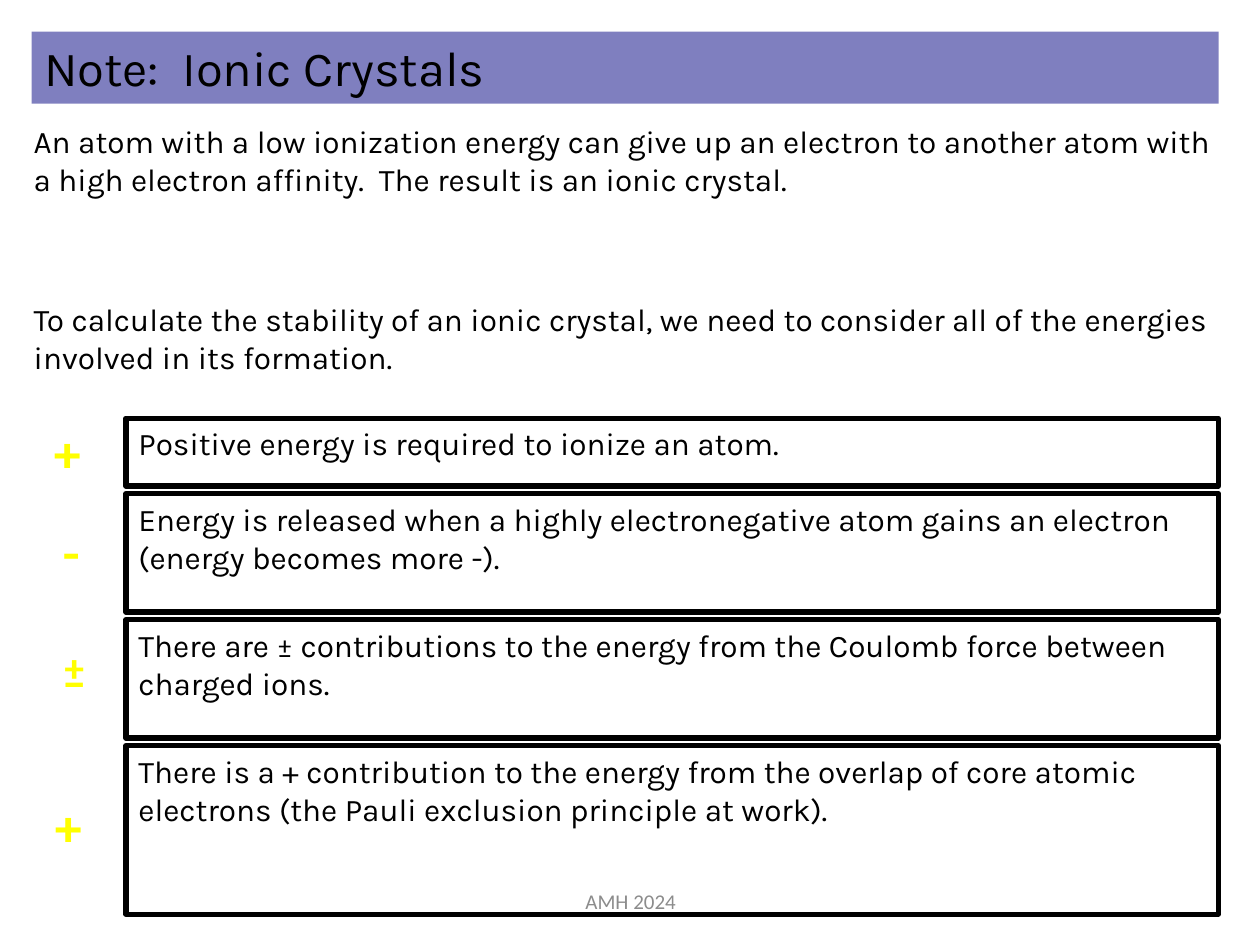
"""Build the slide on the energies of ionic crystals."""
from typing import NamedTuple, Optional

import lxml.etree
import pptx
import pptx.dml.color
import pptx.enum.shapes
import pptx.enum.text
import pptx.oxml.ns
import pptx.shapes.autoshape
import pptx.slide
import pptx.util

Cm = pptx.util.Cm
Align = pptx.enum.text.PP_ALIGN
Anchor = pptx.enum.text.MSO_ANCHOR


class Area(NamedTuple):
    left: float
    top: float
    width: float
    height: float


class Term(NamedTuple):
    text: str
    height: float
    sign: str
    place: Area


INTRO = [
    ("An atom with a low ionization energy can give up an electron to another atom "
     "with a high electron affinity.  The result is an ionic crystal.",
     Area(0.43, 2.34, 24.56, 3.3)),
    ("To calculate the stability of an ionic crystal, we need to consider all of the "
     "energies involved in its formation.",
     Area(0.43, 5.92, 24.56, 2.29)),
]
TERMS = [
    Term("Positive energy is required to ionize an atom.",
         1.37, "+", Area(0.84, 8.33, 1.32, 1.45)),
    Term("Energy is released when a highly electronegative atom gains an electron "
         "(energy becomes more -).",
         2.39, "-", Area(1.02, 10.41, 0.94, 1.45)),
    Term("There are ± contributions to the energy from the Coulomb force between "
         "charged ions.",
         2.39, "±", Area(0.99, 12.75, 1.04, 1.45)),
    Term("There is a + contribution to the energy from the overlap of core atomic "
         "electrons (the Pauli exclusion principle at work).",
         3.4, "+", Area(0.86, 15.88, 1.32, 1.45)),
]
GAP = 0.15


def color(code: str) -> pptx.dml.color.RGBColor:
    return pptx.dml.color.RGBColor.from_string(code)


def write(shape: pptx.shapes.autoshape.Shape, text: str, *, size: float = 18,
          font: str = "Karla", ink: str = "000000", bold: bool = False,
          align: Align = Align.LEFT, anchor: Anchor = Anchor.TOP) -> None:
    frame = shape.text_frame
    frame.word_wrap = True
    frame.vertical_anchor = anchor
    line = frame.paragraphs[0]
    line.alignment = align
    run = line.add_run()
    run.text = text
    run.font.name = font
    run.font.size = pptx.util.Pt(size)
    run.font.bold = bold
    run.font.color.rgb = color(ink)


def label(slide: pptx.slide.Slide, area: Area, text: str, **style) -> None:
    write(slide.shapes.add_textbox(*map(Cm, area)), text, **style)


def panel(slide: pptx.slide.Slide, area: Area, text: str, *,
          fill: Optional[str] = None, alpha: int = 100,
          edge: Optional[str] = None, **style) -> None:
    kind = pptx.enum.shapes.MSO_SHAPE.RECTANGLE
    shape = slide.shapes.add_shape(kind, *map(Cm, area))
    shape.shadow.inherit = False
    if fill:
        shape.fill.solid()
        shape.fill.fore_color.rgb = color(fill)
        tag = pptx.oxml.ns.qn("a:alpha")
        tint = shape.fill._xPr.find(".//" + pptx.oxml.ns.qn("a:srgbClr"))
        lxml.etree.SubElement(tint, tag, val=str(alpha * 1000))
    else:
        shape.fill.background()
    if edge:
        shape.line.color.rgb = color(edge)
        shape.line.width = pptx.util.Pt(3)
    else:
        shape.line.fill.background()
    write(shape, text, **style)


def main() -> None:
    deck = pptx.Presentation()
    deck.slide_width, deck.slide_height = Cm(25.4), Cm(19.05)
    slide = deck.slides.add_slide(deck.slide_layouts[6])

    panel(slide, Area(0.64, 0.64, 23.93, 1.45), "Note:  Ionic Crystals",
          fill="000080", alpha=50, size=28)
    for text, area in INTRO:
        label(slide, area, text)

    top = 8.43
    for term in TERMS:
        panel(slide, Area(2.54, top, 22.02, term.height), term.text, edge="000000")
        label(slide, term.place, term.sign, size=28, ink="FFFF00", bold=True)
        top += term.height + GAP

    label(slide, Area(8.69, 17.65, 8.05, 1.02), "AMH 2024", size=12, font="Calibri",
          ink="8C8C8C", align=Align.CENTER, anchor=Anchor.MIDDLE)
    deck.save("out.pptx")


if __name__ == "__main__":
    main()
